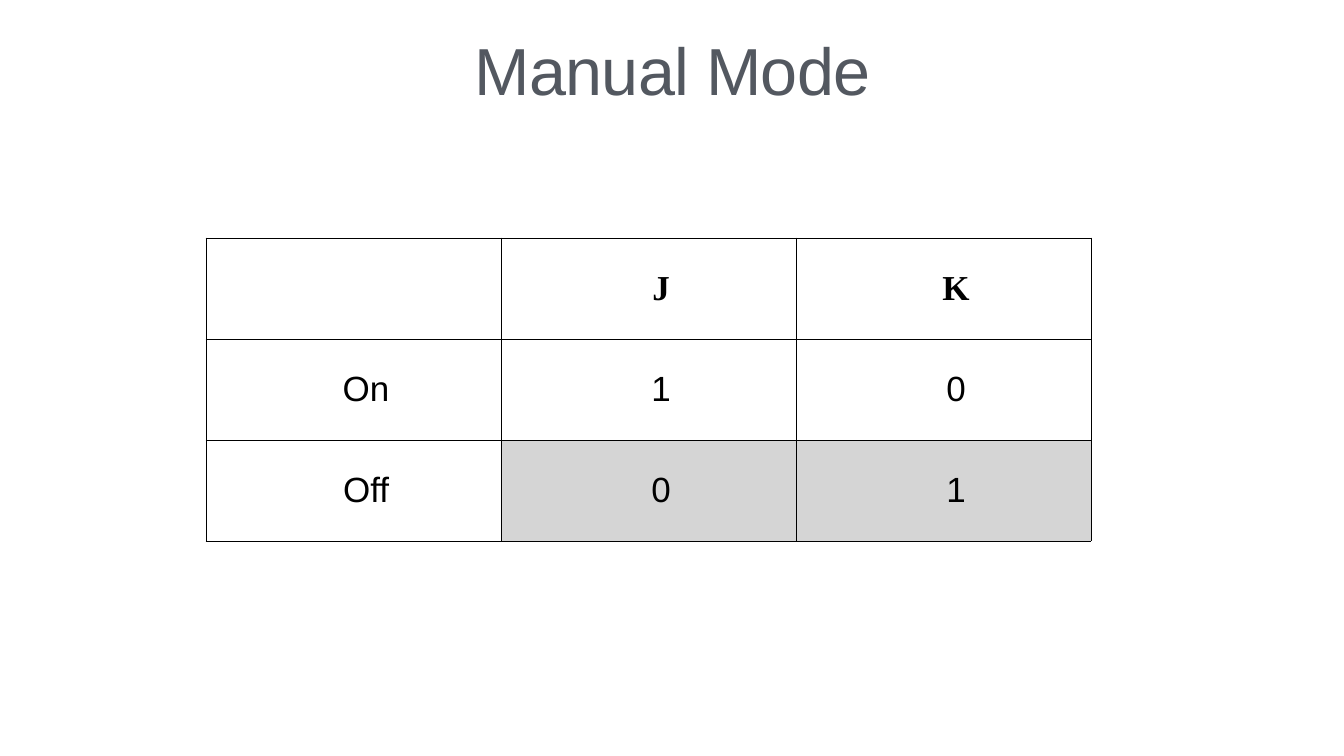
from lxml.etree import SubElement
from pptx import Presentation
from pptx.dml.color import RGBColor
from pptx.enum.text import MSO_ANCHOR as ANCHOR, PP_ALIGN as ALIGN
from pptx.oxml.ns import qn
from pptx.util import Emu, Inches, Pt

PX = 914400 / 50.4
COLORS = {"ink": "000000", "title": "535860", "paper": "FFFFFF", "shade": "D5D5D5"}
TITLE = {"name": "Arial", "size": Pt(95)}
BODY = {"name": "Arial", "size": Pt(50), "bold": False}
HEAD = {"name": "Times New Roman", "size": Pt(50), "bold": True}
MARGINS = ("margin_left", "margin_top", "margin_right", "margin_bottom")


def px(n):
    return Emu(round(n * PX))


def rgb(name):
    return RGBColor.from_string(COLORS[name])


def set_all(obj, values):
    for name, value in values.items():
        setattr(obj, name, value)


class Deck:
    def __init__(self, width, height):
        self.prs = Presentation()
        set_all(self.prs, {"slide_width": px(width), "slide_height": px(height)})
        self.s = self.prs.slides.add_slide(self.prs.slide_layouts[6])
        fill = self.s.background.fill
        fill.solid()
        fill.fore_color.rgb = rgb("paper")

    def add_text(self, tf, text, font, color, para):
        p = tf.paragraphs[0]
        set_all(p, {"alignment": ALIGN.CENTER, **para})
        r = p.add_run()
        r.text = text
        set_all(r.font, font)
        r.font.color.rgb = rgb(color)
        return p, r

    def title(self, box, text):
        tf = self.s.shapes.add_textbox(*map(px, box)).text_frame
        set_all(tf, {"word_wrap": True, "vertical_anchor": ANCHOR.TOP})
        set_all(tf, dict.fromkeys(MARGINS, px(3)))
        _, r = self.add_text(tf, text, TITLE, "title", {"line_spacing": 0.9})
        r.font._element.set("spc", "-100")

    def table(self, left, top, col_width, row_height, rows, shaded):
        n_rows, n_cols = len(rows), len(rows[0])
        size = px(col_width * n_cols), px(row_height * n_rows)
        frame = self.s.shapes.add_table(n_rows, n_cols, px(left), px(top), *size)
        for i, row in enumerate(rows):
            for j, text in enumerate(row):
                color = "shade" if (i, j) in shaded else "paper"
                self.cell(frame.table.cell(i, j), text, HEAD if i == 0 else BODY, color)

    def cell(self, cell, text, font, color):
        set_all(cell, {"vertical_anchor": ANCHOR.MIDDLE, **dict.fromkeys(MARGINS, 0)})
        if text:
            p, _ = self.add_text(cell.text_frame, text, font, "ink", {"space_before": Pt(47)})
            p._p.get_or_add_pPr().set("indent", str(Inches(0.5)))
        self.borders(cell)
        cell.fill.solid()
        cell.fill.fore_color.rgb = rgb(color)

    def borders(self, cell):
        for side in ("L", "R", "T", "B"):
            ln = SubElement(cell._tc.get_or_add_tcPr(), qn(f"a:ln{side}"), w=str(Pt(1)))
            SubElement(SubElement(ln, qn("a:solidFill")), qn("a:srgbClr"), val=COLORS["ink"])


def main():
    deck = Deck(1344, 756)
    rows = [("", "J", "K"), ("On", "1", "0"), ("Off", "0", "1")]
    deck.table(206, 238, 295, 101, rows, shaded={(2, 1), (2, 2)})
    deck.title((67, 35, 1211, 93), "Manual Mode")
    deck.prs.save("out.pptx")


if __name__ == "__main__":
    main()
